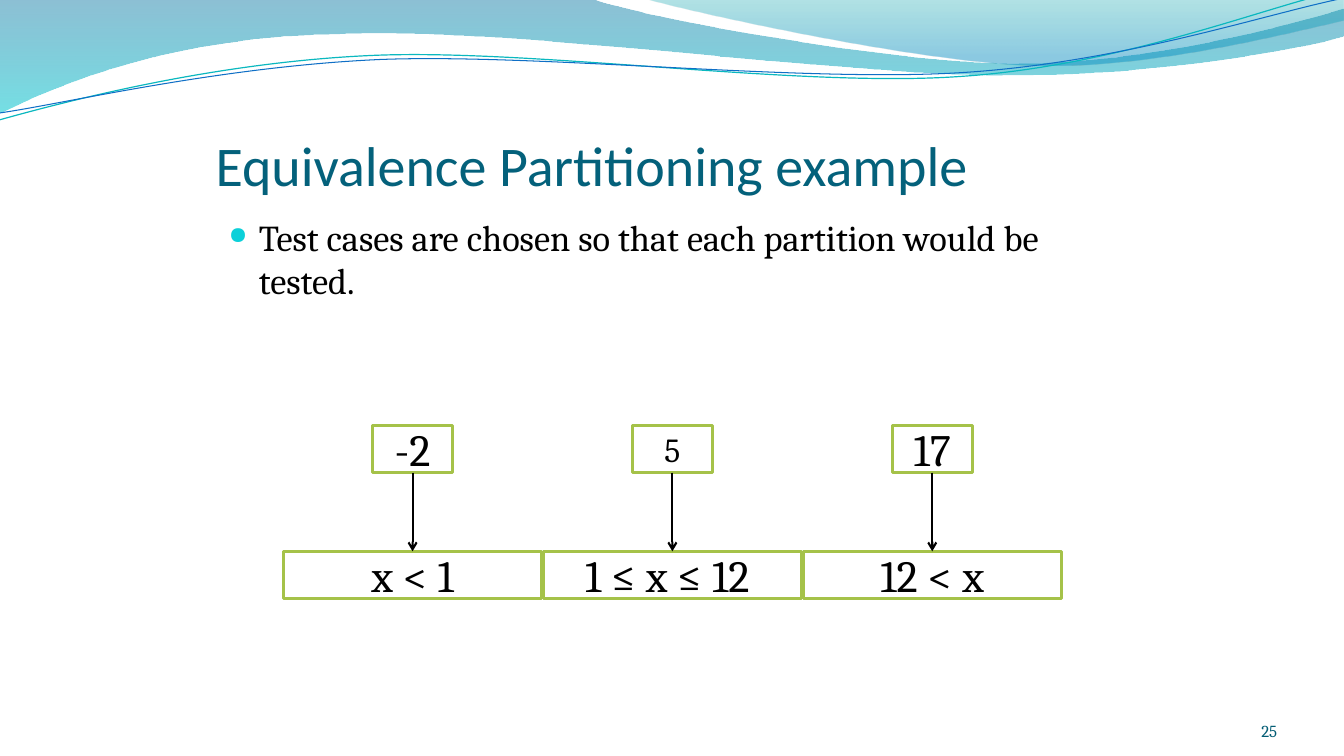
"""Build the equivalence partitioning slide with its waves and test cases."""
from pptx import Presentation
from pptx.dml.color import RGBColor
from pptx.enum.shapes import MSO_CONNECTOR, MSO_SHAPE
from pptx.enum.text import MSO_ANCHOR, MSO_AUTO_SIZE, PP_ALIGN
from pptx.oxml.ns import qn
from pptx.util import Pt
from lxml.etree import SubElement

COLORS = {
    "title": "04617B", "text": "000000", "page": "045D75", "bullet": "0BD0D9",
    "white": "FFFFFF", "green": "A5C249", "teal": "0AB8BF", "blue": "0F6FC6",
    "deep": "0074A1", "aqua": "00C6CF", "sea": "00A1A9", "sky": "008BBF",
}
BANDS = [
    ([(0, 0), (422.6, -0.7),
      (456.5, 12.2, 637.2, 45.4, 727.9, 45.4),
      (819.4, 45.4, 920.2, 18.7, 959.8, 6.5), (961.2, 25.9),
      (943.9, 31.7, 835.2, 54.7, 715.7, 54),
      (596.9, 54, 366.5, 20.2, 247, 24.5),
      (123.1, 25.9, 43.9, 59.8, -0.7, 81.4), (0, 0)],
     [("deep", 0, 45), ("aqua", 100, 55)]),
    ([(460, -0.7),
      (488.9, 7.9, 654.5, 44.6, 738, 46.8),
      (821.5, 49.7, 923, 23, 959.8, 15.1), (959.8, 0), (460, -0.7)],
     [("sea", 0, 30), ("sky", 80, 45)]),
]
WAVES = [
    ([(-2.3, 63.1),
      (45.1, 52.3, 152.1, 29.2, 266, 29.6),
      (379.8, 29.9, 567.7, 66.8, 683.2, 64.4),
      (798.6, 62.6, 902.6, 25.7, 960.1, 15.5)], "teal", 0.85),
    ([(-1.3, 58),
      (44.4, 53.7, 157.2, 32.3, 272.4, 32.7),
      (386.9, 33.8, 572.2, 63.4, 686.9, 61.6),
      (802.4, 59.8, 904.7, 30, 962.1, 21.2)], "blue", 0.75),
]
TILT = -2.7
CASES = [("-2", 32, "x < 1"), ("5", 24, "1 ≤ x ≤ 12 "), ("17", 32, "12 < x")]
MIDDLE, PITCH = 480.3, 185.6
CASE_TOP, RANGE_TOP, HIGH = 303.8, 393.8, 33.8


def tint(name):
    return RGBColor.from_string(COLORS[name])


def write(frame, text, size=32, font="Cambria", color="text",
          align=PP_ALIGN.LEFT, anchor=MSO_ANCHOR.TOP, inset=(7.2, 3.6, 7.2, 3.6)):
    frame.word_wrap = True
    frame.auto_size = MSO_AUTO_SIZE.NONE
    frame.vertical_anchor = anchor
    (frame.margin_left, frame.margin_top,
     frame.margin_right, frame.margin_bottom) = map(Pt, inset)
    para = frame.paragraphs[0]
    para.alignment = align
    run = para.add_run()
    run.text = text
    run.font.size = Pt(size)
    run.font.name = font
    run.font.color.rgb = tint(color)
    return para


class Deck:
    def __init__(self):
        self.show = Presentation()
        self.show.slide_width, self.show.slide_height = Pt(960), Pt(540)
        self.slide = self.show.slides.add_slide(self.show.slide_layouts[5])
        self.shapes = self.slide.shapes

    def outline(self, steps, close):
        first, *rest = [(Pt(x), Pt(y)) for step in steps
                        for x, y in zip(step[::2], step[1::2])]
        pen = self.shapes.build_freeform(*first)
        pen.add_line_segments(rest, close=close)
        shape = pen.convert_to_shape()
        shape.shadow.inherit = False
        lines = iter(list(shape.element.spPr.iter(qn("a:lnTo"))))
        for step in steps[1:]:
            line = next(lines)
            if len(step) == 6:
                curve = SubElement(line.getparent(), qn("a:cubicBezTo"))
                line.addprevious(curve)
                for part in (line, next(lines), next(lines)):
                    curve.append(part[0])
                    part.getparent().remove(part)
        return shape

    def band(self, steps, stops):
        shape = self.outline(steps, True)
        shape.line.fill.background()
        shape.fill.gradient()
        shape.fill.gradient_angle = 270
        for stop, (color, place, alpha) in zip(shape.fill.gradient_stops, stops):
            stop.color.rgb = tint(color)
            stop.position = place / 100
        marks = shape.element.spPr.iter(qn("a:srgbClr"))
        for mark, (color, place, alpha) in zip(list(marks), stops):
            SubElement(mark, qn("a:alpha"), val=str(alpha * 1000))

    def wave(self, steps, color, width):
        shape = self.outline(steps, False)
        shape.rotation = TILT
        shape.fill.background()
        shape.line.color.rgb = tint(color)
        shape.line.width = Pt(width)

    def title(self, text, left, top, width, height):
        shape = self.shapes.title
        shape.left, shape.top, shape.width, shape.height = map(
            Pt, (left, top, width, height))
        write(shape.text_frame, text, size=40, font="Calibri", color="title",
              anchor=MSO_ANCHOR.BOTTOM, inset=(0, 3.6, 0, 0))

    def label(self, text, left, top, width, height, **style):
        box = self.shapes.add_textbox(*map(Pt, (left, top, width, height)))
        return write(box.text_frame, text, **style)

    def bullet(self, text, left, top, width, height):
        para = self.label(text, left, top, width, height, size=26)
        para.space_before = Pt(5.2)
        props = para._p.get_or_add_pPr()
        props.set("marL", str(Pt(21.6)))
        props.set("indent", str(Pt(-21.6)))
        paint = SubElement(props, qn("a:buClr"))
        SubElement(paint, qn("a:srgbClr"), val=COLORS["bullet"])
        SubElement(props, qn("a:buSzPct"), val="66000")
        SubElement(props, qn("a:buChar"), char="●")

    def box(self, text, center, top, width, size=32):
        shape = self.shapes.add_shape(MSO_SHAPE.RECTANGLE, *map(
            Pt, (center - width / 2, top, width, HIGH)))
        shape.shadow.inherit = False
        shape.fill.solid()
        shape.fill.fore_color.rgb = tint("white")
        shape.line.color.rgb = tint("green")
        shape.line.width = Pt(2)
        write(shape.text_frame, text, size=size, align=PP_ALIGN.CENTER,
              anchor=MSO_ANCHOR.MIDDLE)
        return shape

    def arrow(self, start, end):
        link = self.shapes.add_connector(MSO_CONNECTOR.STRAIGHT, 0, 0, 0, 0)
        link.begin_connect(start, 2)
        link.end_connect(end, 0)
        link.line.color.rgb = tint("text")
        link.line.width = Pt(1.5)
        SubElement(link.line._get_or_add_ln(), qn("a:tailEnd"), type="arrow")
        SubElement(link.element.spPr, qn("a:effectLst"))


def main():
    deck = Deck()
    for steps, stops in BANDS:
        deck.band(steps, stops)
    for steps, color, width in WAVES:
        deck.wave(steps, color, width)
    deck.title("Equivalence Partitioning example", 154, 57, 648, 84.2)
    deck.bullet("Test cases are chosen so that each partition would be tested.",
                156.2, 149.8, 648, 332.6)
    deck.label("25", 832.3, 500.4, 80, 28.8, size=12, color="page",
               align=PP_ALIGN.RIGHT, anchor=MSO_ANCHOR.BOTTOM, inset=(0, 0, 0, 0))
    for k, (value, size, span) in enumerate(CASES):
        center = MIDDLE + (k - 1) * PITCH
        case = deck.box(value, center, CASE_TOP, 57, size)
        deck.arrow(case, deck.box(span, center, RANGE_TOP, 184.4))
    deck.show.save("out.pptx")


if __name__ == "__main__":
    main()
